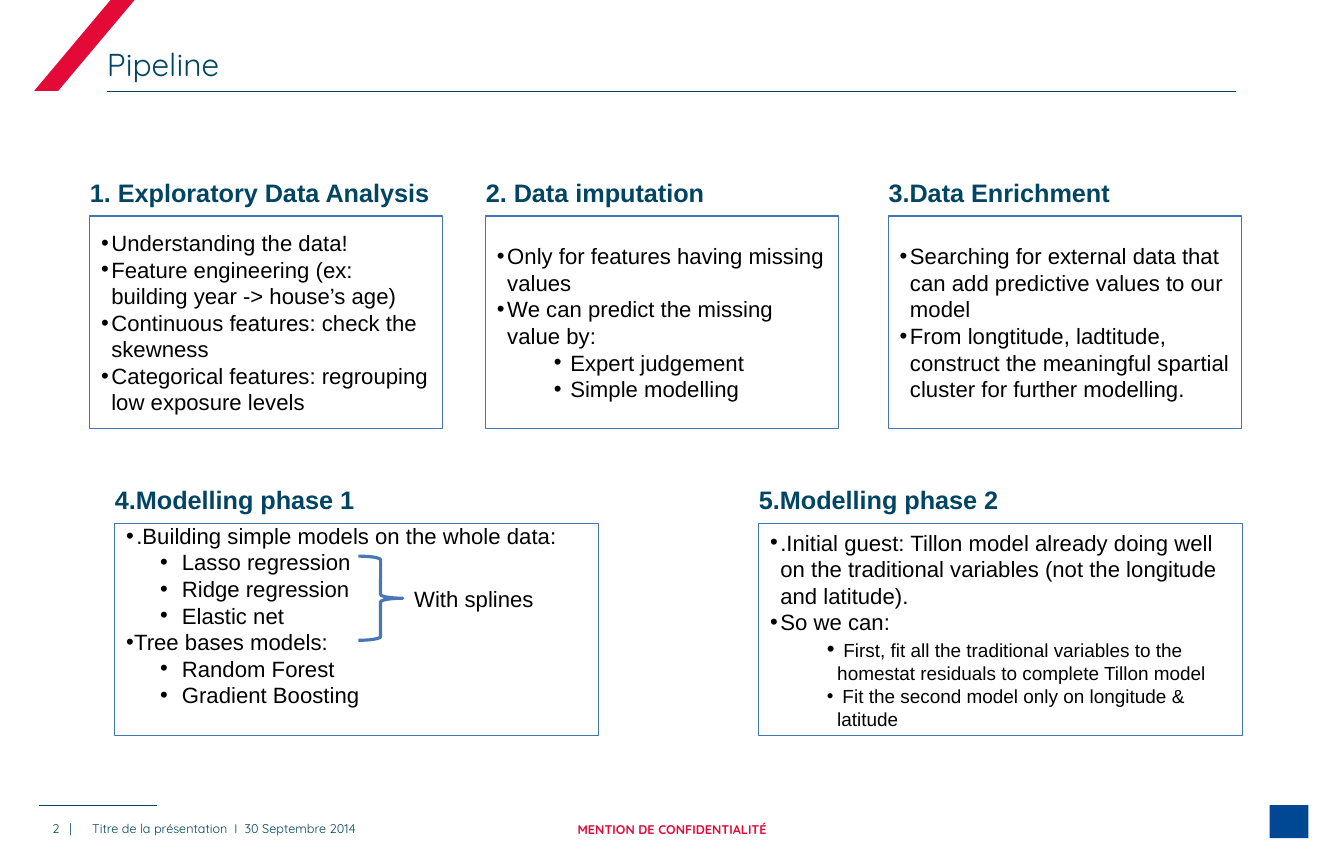
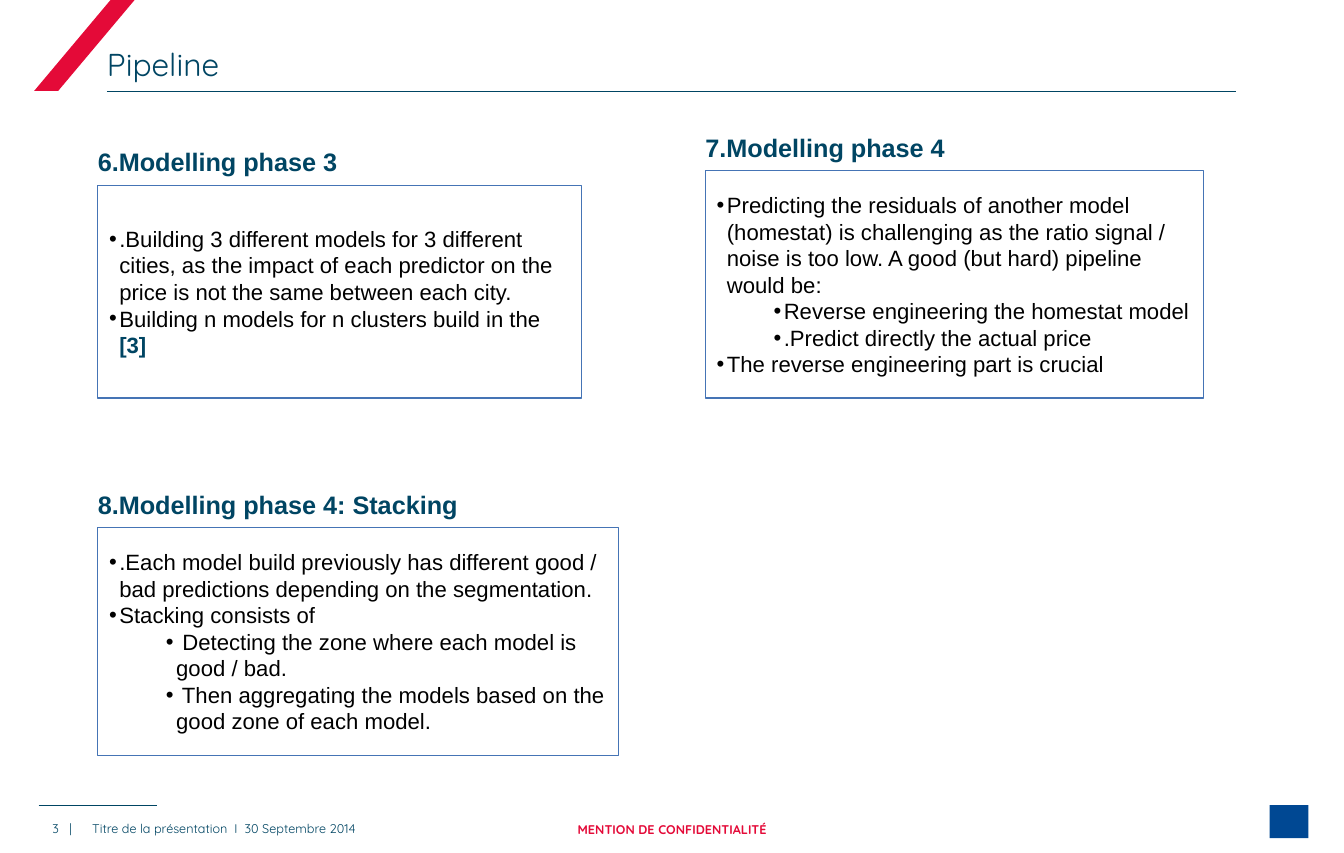
import pptx
import pptx.util
import pptx.dml.color
import pptx.enum.shapes
import pptx.enum.text
import pptx.oxml.ns
import lxml.etree

Inches, Pt = pptx.util.Inches, pptx.util.Pt
SHAPE = pptx.enum.shapes.MSO_SHAPE
ALIGN = pptx.enum.text.PP_ALIGN
ANCHOR = pptx.enum.text.MSO_ANCHOR
qn = pptx.oxml.ns.qn

# Shared style
NAVY, RED, BLUE, EDGE, BRACE, BLACK = (
    "004563", "E40A38", "004893", "4574B5", "4977B6", "000000")
HEAD, BODY = "Quicksand", "Arial"
# List levels: left margin and hanging indent
MAIN, SUB, NEAR, TREE = (0.09, -0.09), (0.59, -0.09), (0.49, -0.19), (0.07, -0.07)


def color(text):
    return pptx.dml.color.RGBColor.from_string(text)


def style(font, size=None, tint=None, name=None, bold=None):
    if size:
        font.size = Pt(size)
    if tint:
        font.color.rgb = color(tint)
    if name:
        font.name = name
    if bold is not None:
        font.bold = bold


def child(parent, tag, **attrs):
    return lxml.etree.SubElement(parent, qn(tag), attrs)


class Deck:
    def __init__(self):
        self.prs = pptx.Presentation()
        self.prs.slide_width = Pt(850.5)
        self.prs.slide_height = Inches(7.5)
        self.slide = None

    def place(self, shape, box):
        shape.left, shape.top, shape.width, shape.height = map(Inches, box)

    def frame(self, shape, anchor, inset=None):
        frame = shape.text_frame
        frame.word_wrap = True
        frame.auto_size = pptx.enum.text.MSO_AUTO_SIZE.NONE
        frame.vertical_anchor = anchor
        if inset is not None:
            frame.margin_left = frame.margin_right = Inches(inset)
            frame.margin_top = frame.margin_bottom = Inches(inset)
        return frame

    def shape(self, kind, box, fill=None, line=None, width=0.75):
        shape = self.slide.shapes.add_shape(kind, *map(Inches, box))
        shape.shadow.inherit = False
        if fill:
            shape.fill.solid()
            shape.fill.fore_color.rgb = color(fill)
        else:
            shape.fill.background()
        if line:
            shape.line.color.rgb = color(line)
            shape.line.width = Pt(width)
        else:
            shape.line.fill.background()
        return shape

    def rule(self, left, right, top):
        line = self.slide.shapes.add_connector(
            pptx.enum.shapes.MSO_CONNECTOR.STRAIGHT,
            Inches(left), Inches(top), Inches(right), Inches(top))
        line.line.color.rgb = color(NAVY)
        line.line.width = Pt(0.5)
        child(line._element.spPr, "a:effectLst")

    def text(self, box, words, size, tint=NAVY, name=BODY, bold=False,
             align=ALIGN.LEFT, anchor=ANCHOR.TOP, tabs=()):
        shape = self.slide.shapes.add_textbox(*map(Inches, box))
        para = self.frame(shape, anchor, 0).paragraphs[0]
        para.text = words
        para.alignment = align
        if tabs:
            stops = child(para._p.get_or_add_pPr(), "a:tabLst")
            for tab in tabs:
                child(stops, "a:tab", pos=str(Inches(tab)), algn="l")
        style(para.font, size, tint, name, bold)

    def item(self, para, level, runs):
        left, hang = map(Inches, level)
        props = para._p.get_or_add_pPr()
        props.set("marL", str(left))
        props.set("indent", str(hang))
        child(props, "a:buFont", typeface=BODY)
        child(props, "a:buChar", char="•")
        para.alignment = ALIGN.LEFT
        style(para.font, 14, BLACK, BODY)
        for words, look in runs:
            run = para.add_run()
            run.text = words
            style(run.font, **look)

    def card(self, box, title, items, foot=0.05):
        """Bordered list with a heading above it."""
        left, top, width, _ = box
        shape = self.shape(SHAPE.RECTANGLE, box, line=EDGE)
        frame = self.frame(shape, ANCHOR.MIDDLE)
        frame.margin_bottom = Inches(foot)
        for i, (level, *runs) in enumerate(items):
            para = frame.add_paragraph() if i else frame.paragraphs[0]
            self.item(para, level,
                      [(r, {}) if isinstance(r, str) else r for r in runs])
        self.text((left, top - 0.34, width, 0.27), title, 16, bold=True)

    def page(self, title, number):
        """New slide with title, corner band and footer."""
        self.slide = self.prs.slides.add_slide(self.prs.slide_layouts[5])
        # Corner band and rules
        band = self.shape(SHAPE.PARALLELOGRAM, (0.3, -0.02, 0.9, 0.82), RED)
        band.adjustments[0] = 0.84
        self.rule(0.94, 10.86, 0.8)
        self.rule(0.34, 1.38, 7.08)
        self.shape(SHAPE.RECTANGLE, (11.16, 7.08, 0.34, 0.29), BLUE)
        # Title
        head = self.slide.shapes.title
        self.place(head, (0.94, 0.36, 9.92, 0.37))
        para = self.frame(head, ANCHOR.BOTTOM, 0).paragraphs[0]
        para.text = title
        para.alignment = ALIGN.LEFT
        style(para.font, 20, NAVY, HEAD)
        # Footer
        foot = dict(size=8, name=HEAD, anchor=ANCHOR.BOTTOM)
        self.text((4.53, 7.12, 2.76, 0.24), "MENTION DE CONFIDENTIALITÉ",
                  tint=RED, bold=True, align=ALIGN.CENTER, **foot)
        self.text((0.46, 7.12, 0.24, 0.23), f"{number}\t|", tabs=[0.15], **foot)
        self.text((0.81, 7.12, 3.69, 0.23),
                  "Titre de la présentation\tI\t30 Septembre 2014",
                  tabs=[1.25, 1.34], **foot)


deck = Deck()

# Slide 1: data work and first models
deck.page("Pipeline", 2)
deck.card((0.79, 1.9, 3.1, 1.87), "1. Exploratory Data Analysis", [
    (MAIN, "Understanding the data!"),
    (MAIN, "Feature engineering (ex: building year -> house’s age)"),
    (MAIN, "Continuous features: check the skewness"),
    (MAIN, "Categorical features: regrouping low exposure levels"),
])
deck.card((4.27, 1.9, 3.1, 1.87), "2. Data imputation", [
    (MAIN, "Only for features having missing values"),
    (MAIN, "We can predict the missing value by:"),
    (SUB, " Expert judgement"),
    (SUB, " Simple modelling"),
])
deck.card((7.81, 1.9, 3.1, 1.87), "3.Data Enrichment", [
    (MAIN, "Searching for external data that can add predictive values "
           "to our model"),
    (MAIN, "From longtitude, ladtitude, construct the meaningful spartial "
           "cluster for further modelling."),
])
deck.card((1.01, 4.6, 4.25, 1.87), "4.Modelling phase 1", [
    (MAIN, ".Building simple models on the whole data:"),
    (NEAR, "Lasso regression"),
    (NEAR, "Ridge regression"),
    (NEAR, "Elastic net"),
    (TREE, "Tree bases models:"),
    (NEAR, "Random Forest"),
    (NEAR, "Gradient Boosting"),
], foot=0.3)
deck.shape(SHAPE.RIGHT_BRACE, (3.15, 4.89, 0.39, 0.74), line=BRACE, width=2)
deck.text((3.64, 5.15, 1.12, 0.24), "With splines", 14, BLACK)
small = dict(size=12)
deck.card((6.67, 4.6, 4.25, 1.87), "5.Modelling phase 2", [
    (MAIN, ".Initial guest: Tillon model already doing well on the "
           "traditional variables (not the longitude and latitude)."),
    (MAIN, "So we can:"),
    (SUB, " ", ("First, fit all the traditional variables to the homestat "
                "residuals to complete Tillon model", small)),
    (SUB, (" Fit the second model only on longitude & latitude", small)),
])

# Slide 2: later models and stacking
deck.page("Pipeline", 3)
deck.card((6.2, 1.5, 4.38, 2), "7.Modelling phase 4", [
    (MAIN, "Predicting the residuals of another model (homestat) is "
           "challenging as the ratio signal / noise is too low. A good "
           "(but hard) pipeline would be:"),
    (SUB, "Reverse engineering the homestat model"),
    (SUB, ".Predict directly the actual price"),
    (MAIN, "The reverse engineering part is crucial"),
])
deck.card((0.86, 4.64, 4.58, 2), "8.Modelling phase 4: Stacking", [
    (MAIN, ".Each model build previously has different good / bad "
           "predictions depending on the segmentation."),
    (MAIN, "Stacking consists of"),
    (SUB, " Detecting the zone where each model is good / bad."),
    (SUB, " Then aggregating the models based on the good zone of each "
          "model."),
])
deck.card((0.86, 1.63, 4.25, 1.87), "6.Modelling phase 3", [
    (MAIN, ".Building 3 different models for 3 different cities, as the "
           "impact of each predictor on the price is not the same between "
           "each city."),
    (MAIN, "Building n models for n clusters build in the ",
     ("[3]", dict(tint=NAVY, bold=True))),
])

deck.prs.save("out.pptx")
